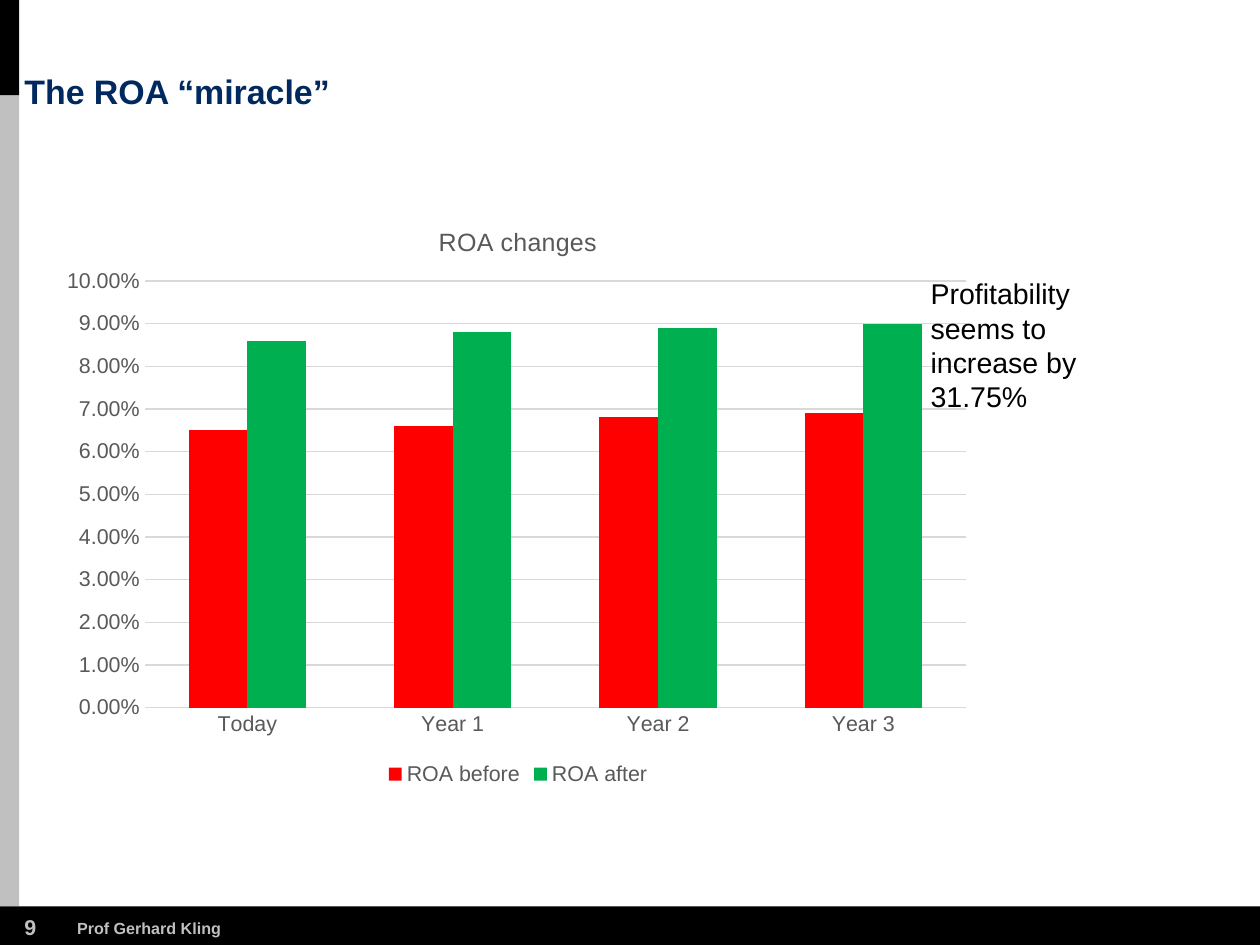
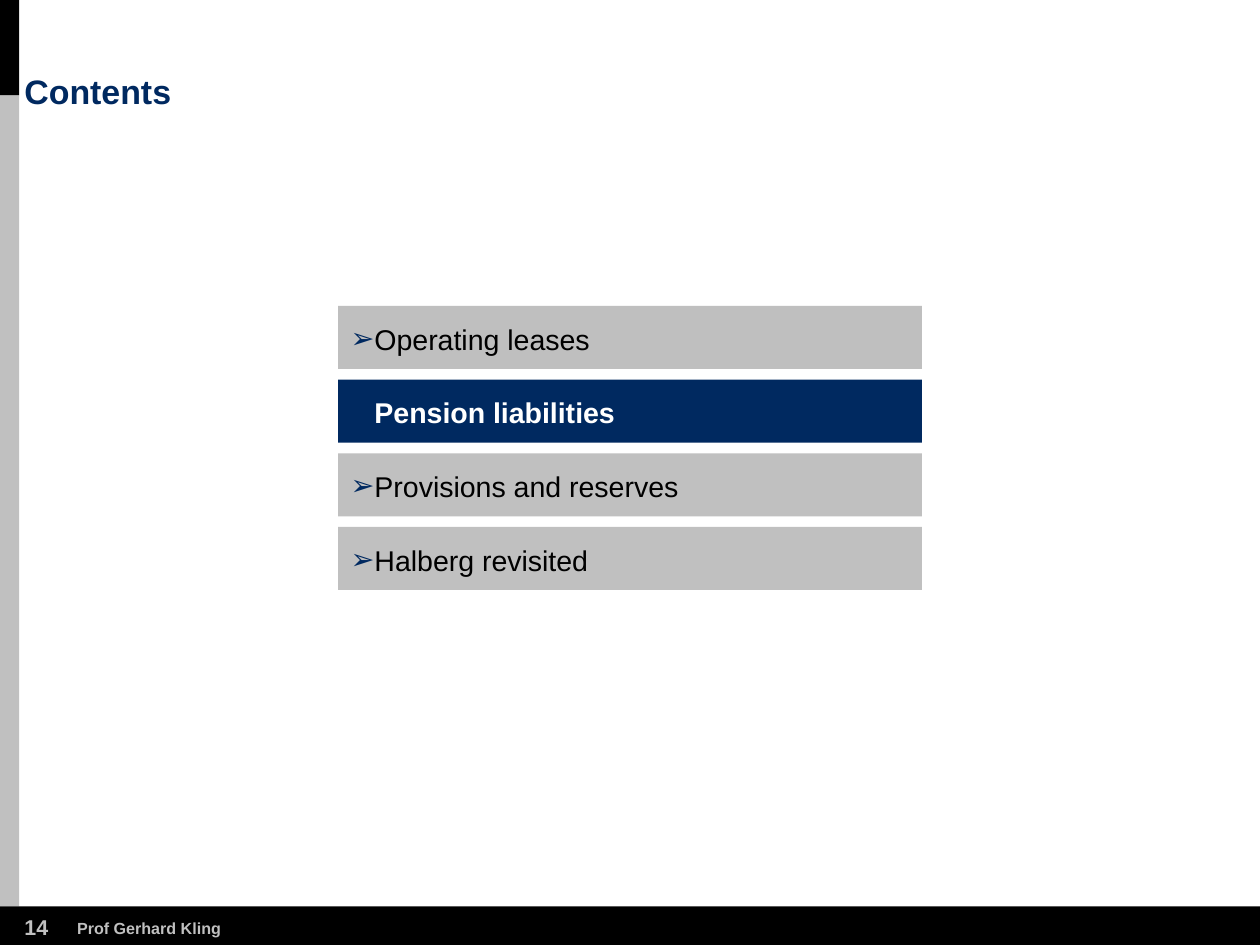
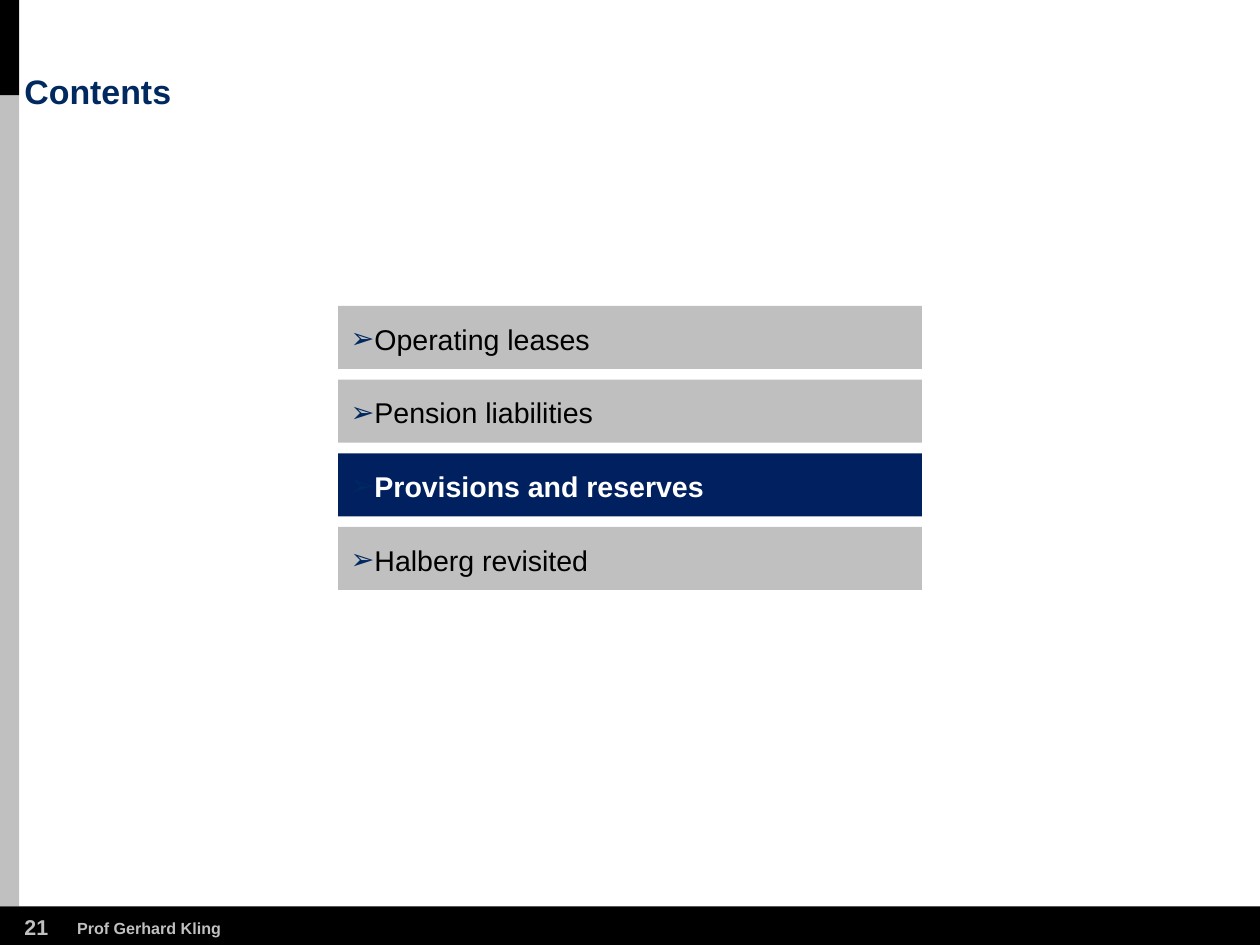
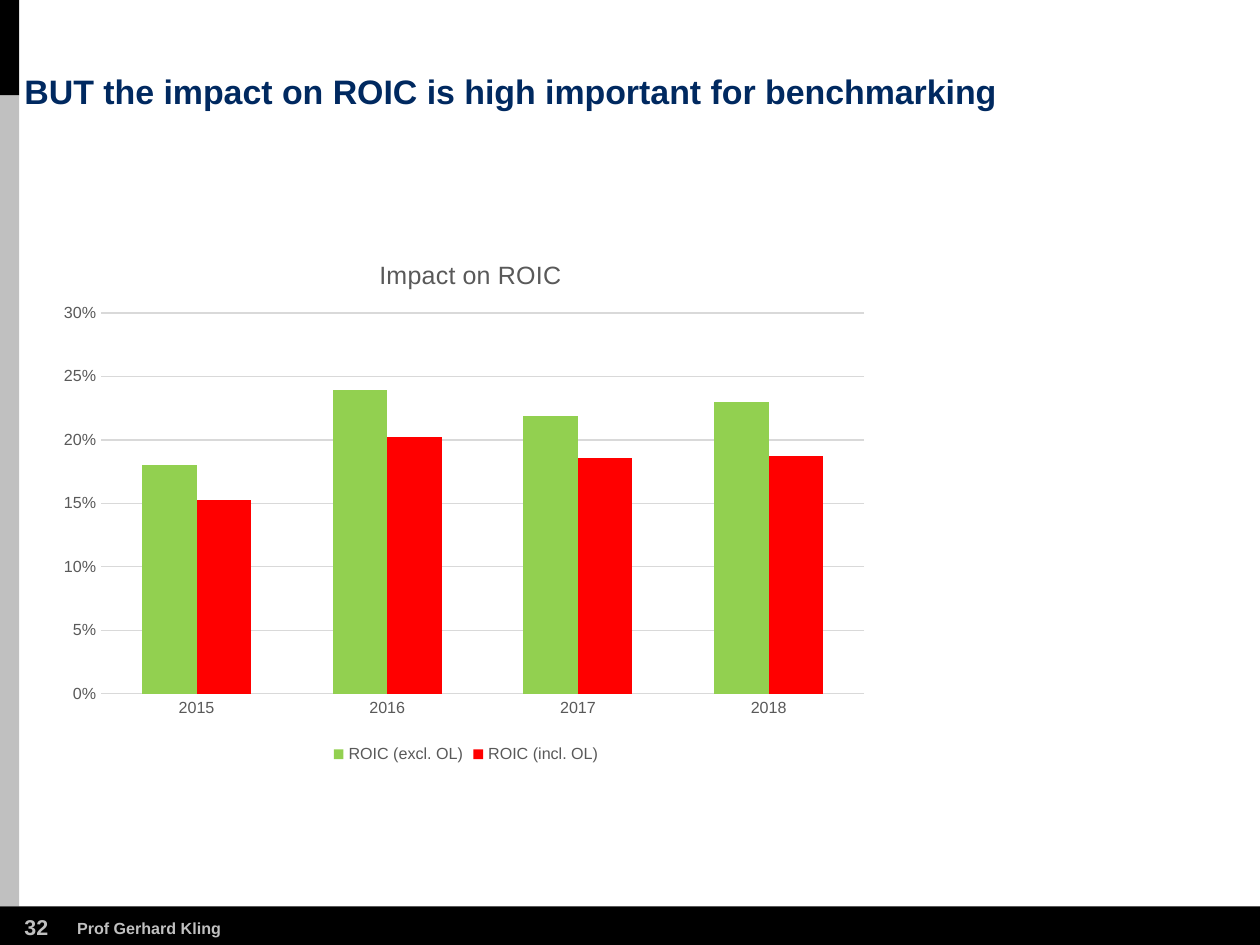
from lxml.etree import SubElement
from pptx import Presentation
from pptx.chart.data import CategoryChartData
from pptx.dml.color import RGBColor
from pptx.enum.chart import XL_CHART_TYPE as ChartType, XL_LEGEND_POSITION as LegendPosition
from pptx.enum.chart import XL_TICK_MARK as TickMark
from pptx.enum.shapes import MSO_SHAPE as Shape
from pptx.enum.text import MSO_ANCHOR as Anchor, MSO_AUTO_SIZE as AutoSize, PP_ALIGN as Align
from pptx.oxml.ns import qn
from pptx.util import Inches, Pt

# Shared style; positions count cells of a grid, 98 columns by 73.5 rows
COLUMNS, ROWS = 98, 73.5
FONT = "Arial"
COLORS = {
    "navy": "002960", "deep navy": "002060", "black": "000000", "white": "FFFFFF",
    "silver": "C0C0C0", "grey": "BFBFBF", "chart text": "595959", "grid": "D9D9D9",
    "red": "FF0000", "green": "00B050", "lime": "92D050",
}
TOPICS = ["Operating leases", "Pension liabilities", "Provisions and reserves", "Halberg revisited"]
TOPIC_FILLS = ["grey", "grey", "silver", "silver"]


def color(name):
    return RGBColor.from_string(COLORS[name])


def style_font(font, size, tint, bold=False):
    font.name, font.size, font.bold = FONT, Pt(size), bold
    font.color.rgb = color(tint)


def write(frame, text, size=16, tint="black", bold=False, wrap=True, margins=(0, 0, 0, 0),
          anchor=Anchor.TOP, spacing=None):
    """Fill a text frame with one formatted paragraph and return it."""
    frame.word_wrap, frame.auto_size, frame.vertical_anchor = wrap, AutoSize.NONE, anchor
    (frame.margin_left, frame.margin_top,
     frame.margin_right, frame.margin_bottom) = map(Inches, margins)
    para = frame.paragraphs[0]
    para.alignment, para.line_spacing = Align.LEFT, spacing
    span = para.add_run()
    span.text = text
    style_font(span.font, size, tint, bold)
    return para


def add_bullet(para, symbol, tint, indent):
    properties = para._p.get_or_add_pPr()
    properties.set("marL", str(Inches(indent)))
    properties.set("indent", str(-Inches(indent)))
    bullet_color = SubElement(properties, qn("a:buClr"))
    SubElement(bullet_color, qn("a:srgbClr"), val=COLORS[tint])
    SubElement(properties, qn("a:buFont"), typeface=FONT)
    SubElement(properties, qn("a:buChar"), char=symbol)


def set_layout(parent, index, target=None, **shares):
    """Place a chart part by shares (x, y, w, h) of the chart's size."""
    layout = parent.find(qn("c:layout"))
    if layout is not None:
        parent.remove(layout)
    layout = parent.makeelement(qn("c:layout"))
    parent.insert(index, layout)
    manual = SubElement(layout, qn("c:manualLayout"))
    settings = {"layoutTarget": target} if target else {}
    settings.update(xMode="edge", yMode="edge", **shares)
    for tag, value in settings.items():
        SubElement(manual, qn("c:" + tag), val=str(value))


class Deck:
    def __init__(self):
        self.deck = Presentation()
        self.deck.slide_width, self.deck.slide_height = Inches(9.8), Inches(7.35)
        self.layout = self.deck.slide_layouts[5]
        self.page = None

    def grid(self, left, top, width, height):
        column = self.deck.slide_width / COLUMNS
        row = self.deck.slide_height / ROWS
        return [round(n * cell) for n, cell in
                zip((left, top, width, height), (column, row, column, row))]

    def add_page(self, title, number):
        first = self.page is None
        self.page = self.deck.slides.add_slide(self.layout)
        if first:
            self.add_bands()
        box = self.page.shapes.title
        box.left, box.top, box.width, box.height = self.grid(1.9, 5.8, 77.6, 2.9)
        write(box.text_frame, title, size=19, tint="navy", bold=True,
              anchor=Anchor.BOTTOM, spacing=0.9)
        # Footer
        footer = dict(tint="silver", bold=True, wrap=False)
        self.add_text(str(number), (1.9, 71.1, 2, 2), size=12, **footer)
        self.add_text("Prof Gerhard Kling", (6, 71.4, 11.3, 1.5), size=9, **footer)

    def add_bands(self):
        """Put the bands in the layout, behind its placeholders."""
        for cells, fill in [((0, 70.5, 98, 3), "black"), ((0, 0, 1.5, 7.4), "black"),
                            ((0, 7.4, 1.5, 63.1), "silver")]:
            band = self.add_box(cells, fill)
            self.layout.shapes.element.insert(2, band.element)

    def add_box(self, cells, fill):
        box = self.page.shapes.add_shape(Shape.RECTANGLE, *self.grid(*cells))
        box.shadow.inherit = False
        box.fill.solid()
        box.fill.fore_color.rgb = color(fill)
        box.line.fill.background()
        return box

    def add_text(self, text, cells, **style):
        box = self.page.shapes.add_textbox(*self.grid(*cells))
        write(box.text_frame, text, **style)

    def add_agenda(self, active, active_fill):
        top, height, gap = 23.8, 4.9, 0.83
        for row, (topic, fill) in enumerate(zip(TOPICS, TOPIC_FILLS)):
            current = topic == active
            box = self.add_box((26.3, top + row * (height + gap), 45.4, height),
                               active_fill if current else fill)
            para = write(box.text_frame, topic, tint="white" if current else "black",
                         bold=current, margins=(0.1, 0.02, 0, 0), anchor=Anchor.MIDDLE)
            add_bullet(para, "➢", "navy", 0.16)

    def add_columns(self, title, cells, categories, series, size, number_format,
                    top_value, step, title_at, plot_at):
        data = CategoryChartData(number_format=number_format)
        data.categories = categories
        for name, values, _ in series:
            data.add_series(name, values)
        chart = self.page.shapes.add_chart(
            ChartType.COLUMN_CLUSTERED, *self.grid(*cells), data).chart
        style_font(chart.font, size, "chart text")

        # Title, legend and plot area
        chart.has_title = True
        write(chart.chart_title.text_frame, title, size=14, tint="chart text")
        chart.chart_title.include_in_layout = False
        x, y = title_at
        set_layout(chart.element.find(".//" + qn("c:title")), 1, x=x, y=y)
        x, y, w, h = plot_at
        set_layout(chart.element.find(".//" + qn("c:plotArea")), 0, "inner", x=x, y=y, w=w, h=h)
        chart.has_legend = True
        chart.legend.position = LegendPosition.BOTTOM
        chart.legend.include_in_layout = False
        style_font(chart.legend.font, size, "chart text")

        # Axes
        for axis in (chart.category_axis, chart.value_axis):
            axis.major_tick_mark = axis.minor_tick_mark = TickMark.NONE
            axis.format.line.fill.background()
            style_font(axis.tick_labels.font, size, "chart text")
        scale = chart.value_axis
        scale.minimum_scale, scale.maximum_scale, scale.major_unit = 0, top_value, step
        scale.tick_labels.number_format = number_format
        scale.tick_labels.number_format_is_linked = False
        scale.has_major_gridlines = True
        scale.major_gridlines.format.line.color.rgb = color("grid")
        scale.major_gridlines.format.line.width = Pt(0.75)

        # Columns
        plot = chart.plots[0]
        plot.gap_width, plot.overlap, plot.vary_by_categories = 150, 0, False
        for columns, (_, _, fill) in zip(plot.series, series):
            columns.format.fill.solid()
            columns.format.fill.fore_color.rgb = color(fill)
            columns.invert_if_negative = False

    def save(self):
        self.deck.save("out.pptx")


def main():
    deck = Deck()

    deck.add_page("The ROA “miracle”", 9)
    deck.add_columns(
        "ROA changes", (4, 15.4, 72.6, 46.1), ["Today", "Year 1", "Year 2", "Year 3"],
        [("ROA before", (0.065, 0.066, 0.068, 0.069), "red"),
         ("ROA after", (0.086, 0.088, 0.089, 0.09), "green")],
        size=12, number_format="0.00%", top_value=0.1, step=0.01,
        title_at=(0.41, 0.04), plot_at=(0.1, 0.14, 0.88, 0.72))
    deck.add_text("Profitability seems to increase by 31.75%", (71.4, 21, 16.3, 11.8),
                  margins=(0.1, 0.05, 0.1, 0.05))

    deck.add_page("Contents", 14)
    deck.add_agenda("Pension liabilities", "navy")

    deck.add_page("Contents", 21)
    deck.add_agenda("Provisions and reserves", "deep navy")

    deck.add_page("BUT the impact on ROIC is high important for benchmarking", 32)
    deck.add_columns(
        "Impact on ROIC", (4, 18.1, 64.5, 41.7), ["2015", "2016", "2017", "2018"],
        [("ROIC (excl. OL)", (0.18, 0.239, 0.219, 0.23), "lime"),
         ("ROIC (incl. OL)", (0.153, 0.202, 0.186, 0.187), "red")],
        size=9, number_format="0%", top_value=0.3, step=0.05,
        title_at=(0.39, 0.04), plot_at=(0.06, 0.15, 0.92, 0.71))

    deck.save()


if __name__ == "__main__":
    main()
